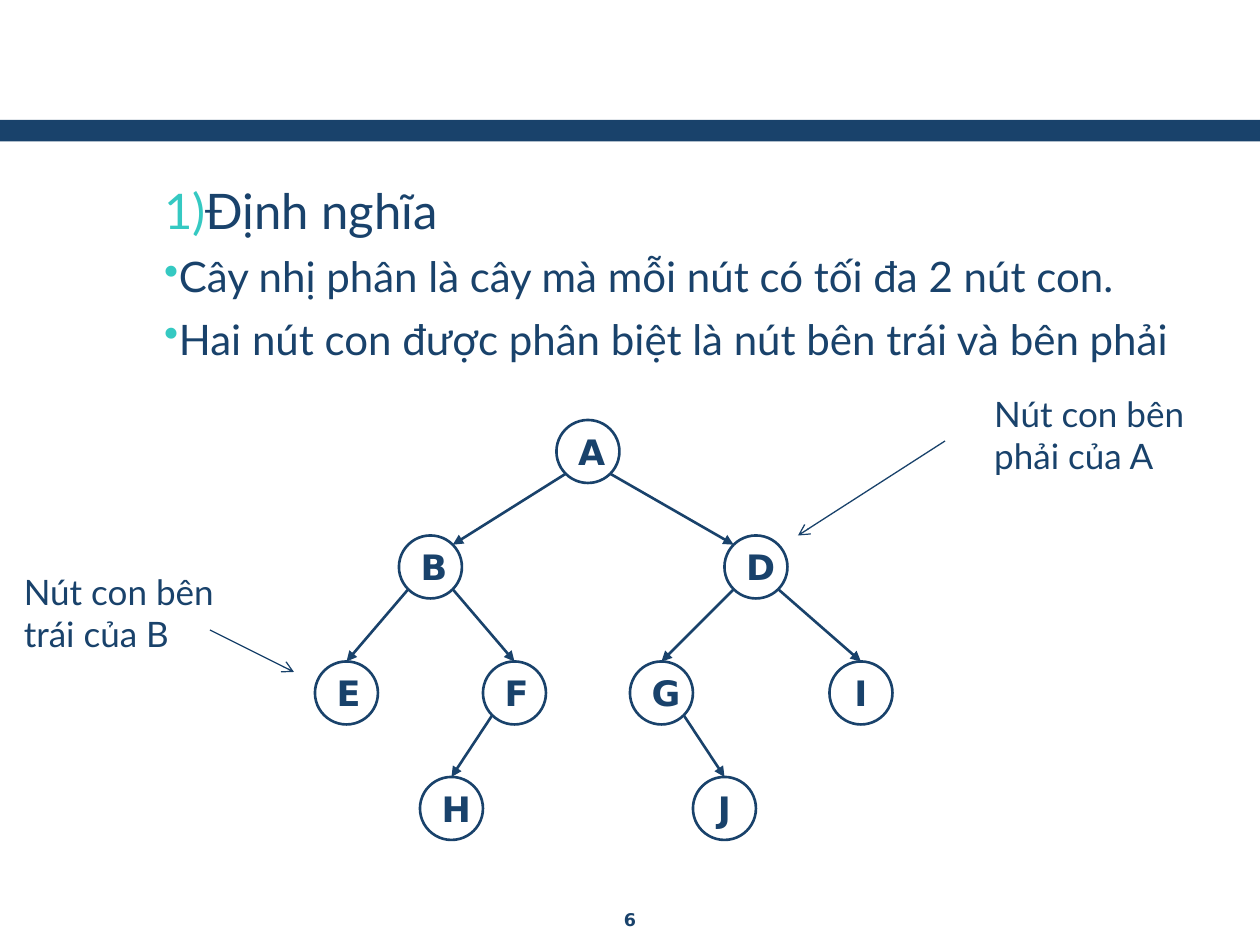
import math

import pptx
import pptx.dml.color
import pptx.enum.shapes
import pptx.enum.text
import pptx.oxml
import pptx.oxml.ns
import pptx.util

Pt = pptx.util.Pt
KIND = pptx.enum.shapes.MSO_SHAPE
ALIGN = pptx.enum.text.PP_ALIGN
ANCHOR = pptx.enum.text.MSO_ANCHOR

NAVY, TEAL, WHITE = "19426B", "35C9C2", "FFFFFF"
SIZE = 36

# Name: left, top, parent
NODES = {
    "A": (318, 240, None),
    "B": (228, 306, "A"),
    "D": (414, 306, "A"),
    "E": (180, 378, "B"),
    "F": (276, 378, "B"),
    "G": (360, 378, "D"),
    "I": (474, 378, "D"),
    "H": (240, 444, "F"),
    "J": (396, 444, "G"),
}
BODY = [
    ("Định nghĩa", 28, '<a:buAutoNum {} type="arabicParenR"/>'),
    ("Cây nhị phân là cây mà mỗi nút có tối đa 2 nút con.", 24, '<a:buChar {} char="•"/>'),
    ("Hai nút con được phân biệt là nút bên trái và bên phải", 24, '<a:buChar {} char="•"/>'),
]
NOTES = [
    ("Nút con bên phải của A", (561, 221, 134, 55), (540, 252), (456, 306)),
    ("Nút con bên trái của B", (6.5, 322.5, 126, 55), (120, 360), (168, 384)),
]


def color(code):
    return pptx.dml.color.RGBColor.from_string(code)


def apply(item, form):
    for name, value in form.items():
        setattr(item, name, value)


def add_xml(parent, text):
    parent.append(pptx.oxml.parse_xml(text.format(pptx.oxml.ns.nsdecls("a"))))


def write(para, text, size, face="Lato", bold=False):
    run = para.add_run()
    run.text = text
    apply(run.font, {"size": Pt(size), "name": face, "bold": bold})
    run.font.color.rgb = color(NAVY)


def add_box(slide, place):
    frame = slide.shapes.add_textbox(*map(Pt, place)).text_frame
    frame.word_wrap = True
    return frame


def add_shape(slide, kind, place, fill):
    shape = slide.shapes.add_shape(kind, *map(Pt, place))
    shape.shadow.inherit = False
    shape.fill.solid()
    shape.fill.fore_color.rgb = color(fill)
    shape.line.fill.background()
    return shape


def add_node(slide, name, left, top):
    node = add_shape(slide, KIND.OVAL, (left, top, SIZE, SIZE), WHITE)
    node.line.color.rgb = color(NAVY)
    node.line.width = Pt(1.5)
    apply(node.text_frame, {"word_wrap": True, "vertical_anchor": ANCHOR.MIDDLE})
    para = node.text_frame.paragraphs[0]
    para.alignment = ALIGN.CENTER
    write(para, name, 20, "DejaVu Sans", True)


def add_arrow(slide, start, end, width, head):
    kind = pptx.enum.shapes.MSO_CONNECTOR.STRAIGHT
    arrow = slide.shapes.add_connector(kind, *map(Pt, start + end))
    arrow.line.color.rgb = color(NAVY)
    arrow.line.width = Pt(width)
    add_xml(arrow.line._get_or_add_ln(), f'<a:tailEnd {{}} type="{head}"/>')
    add_xml(arrow._element.spPr, "<a:effectLst {}/>")


def add_edge(slide, name):
    """Run from the parent's lower diagonal to the child's rim."""
    left, top, parent = NODES[name]
    high, low, root = NODES[parent]
    half = SIZE / 2
    side = math.copysign(1, left - high)
    diag = half * math.sqrt(0.5)
    start = (high + half + side * diag, low + half + diag)
    if root is None:
        end = (left + half - side * diag, top + half - diag)
    else:
        end = (left + half, top)
    add_arrow(slide, start, end, 1.5, "triangle")


def add_body(slide):
    frame = add_box(slide, (42, 96, 660, 120))
    for spot, (text, size, mark) in enumerate(BODY):
        para = frame.add_paragraph() if spot else frame.paragraphs[0]
        apply(para, {"line_spacing": 1.1, "space_before": Pt(4)})
        props = para._p.get_or_add_pPr()
        props.set("marL", str(Pt(44.64)))
        props.set("indent", "0")
        add_xml(props, f'<a:buClr {{}}><a:srgbClr val="{TEAL}"/></a:buClr>')
        add_xml(props, mark)
        write(para, text, size)


def main():
    deck = pptx.Presentation()
    apply(deck, {"slide_width": Pt(720), "slide_height": Pt(540)})
    slide = deck.slides.add_slide(deck.slide_layouts[6])
    add_shape(slide, KIND.RECTANGLE, (0, 68.5, 720, 12.3), NAVY)
    add_body(slide)
    for name, (left, top, _) in NODES.items():
        add_node(slide, name, left, top)
    for name, (_, _, parent) in NODES.items():
        if parent:
            add_edge(slide, name)
    for text, place, start, end in NOTES:
        write(add_box(slide, place).paragraphs[0], text, 20)
        add_arrow(slide, start, end, 0.75, "arrow")
    para = add_box(slide, (276, 516, 168, 19)).paragraphs[0]
    para.alignment = ALIGN.CENTER
    write(para, "6", 10, "DejaVu Sans", True)
    deck.save("out.pptx")


if __name__ == "__main__":
    main()
